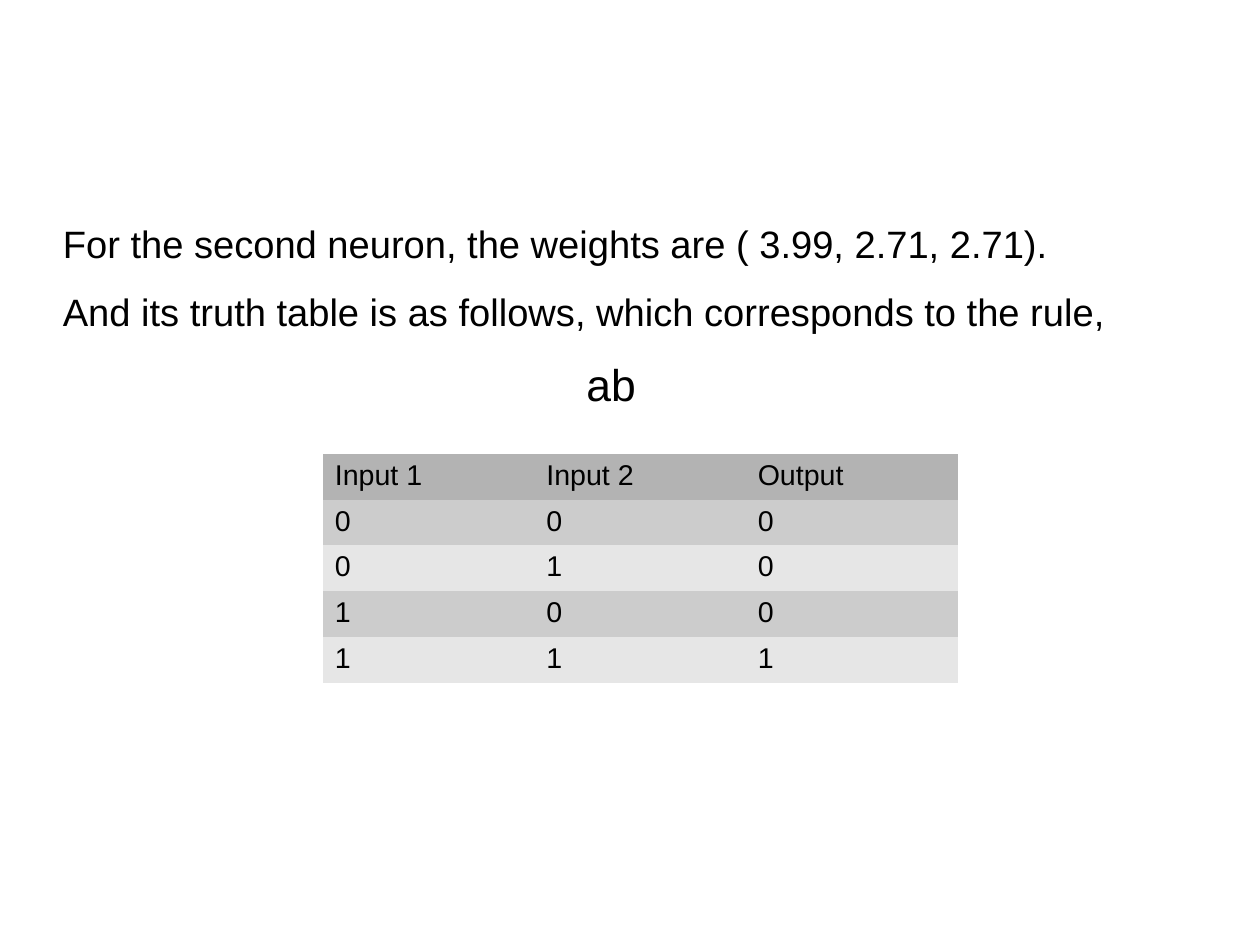
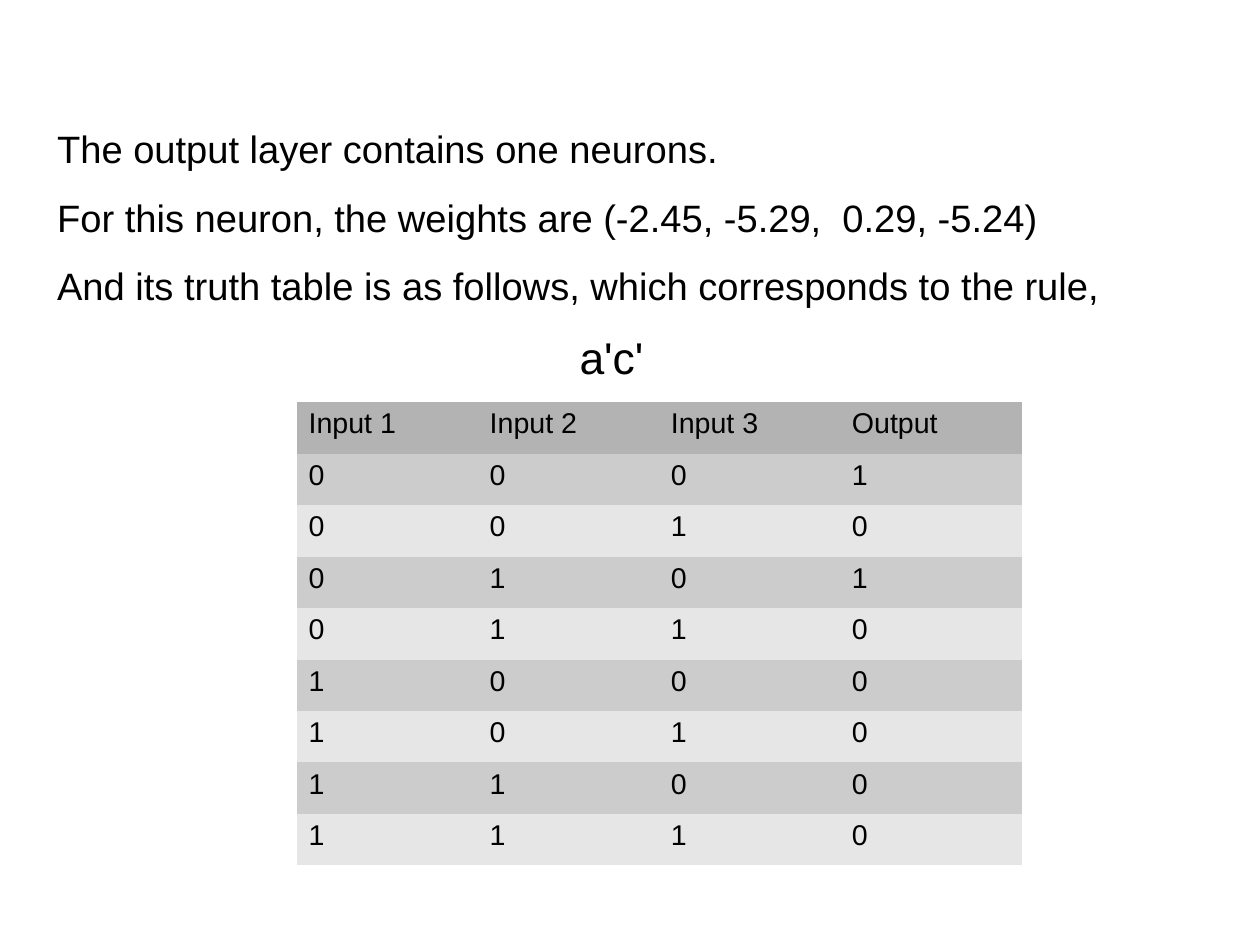
from itertools import product

from pptx import Presentation
from pptx.dml.color import RGBColor
from pptx.enum.text import PP_ALIGN
from pptx.oxml.ns import qn
from pptx.util import Inches, Pt

COLOURS = {"text": "000000", "header": "B3B3B3", "odd": "CCCCCC", "even": "E6E6E6"}
FONT = "Arial"
PLAIN_TABLE_STYLE = "{2D5ABB26-0587-4C30-8999-92F81FD0307C}"
CM_PER_INCH = 2.54
BODY_SIZE = (9.7, 4.79)
NO_MARGINS = {"margin_left": 0, "margin_right": 0, "margin_top": 0, "margin_bottom": 0}

SLIDES = [
    {
        "body_at": (0.55, 1.93),
        "lines": [
            "For the second neuron, the weights are ( 3.99, 2.71, 2.71).",
            "And its truth table is as follows, which corresponds to the rule,",
        ],
        "rule": "ab ",
        "inputs": 2,
        "output": lambda a, b: a and b,
        "table_at": (2.83, 3.97),
        "table_size": (5.55, 1.91),
        "row_height": 0.37,
    },
    {
        "body_at": (0.5, 1.1),
        "lines": [
            "The output layer contains one neurons.",
            "For this neuron, the weights are (-2.45, -5.29,  0.29, -5.24)",
            "And its truth table is as follows, which corresponds to the rule,",
        ],
        "rule": "a'c'",
        "inputs": 3,
        "output": lambda a, b, c: int(not a and not c),
        "table_at": (2.6, 3.52),
        "table_size": (6.34, 4.06),
        "row_height": 0.45,
    },
]


def write(paragraph, text, size):
    span = paragraph.add_run()
    span.text = text
    for name, value in {"name": FONT, "size": Pt(size)}.items():
        setattr(span.font, name, value)
    span.font.color.rgb = RGBColor.from_string(COLOURS["text"])


deck = Presentation()
deck.slide_width = Inches(28 / CM_PER_INCH)
deck.slide_height = Inches(21 / CM_PER_INCH)

for content in SLIDES:
    page = deck.slides.add_slide(deck.slide_layouts[6])

    body = page.shapes.add_textbox(*map(Inches, content["body_at"] + BODY_SIZE))
    frame = body.text_frame
    frame.word_wrap = True
    for name, value in NO_MARGINS.items():
        setattr(frame, name, value)
    lines = [(line, 24, PP_ALIGN.LEFT) for line in content["lines"]]
    lines.append((content["rule"], 28, PP_ALIGN.CENTER))
    for index, (text, size, alignment) in enumerate(lines):
        para = frame.add_paragraph() if index else frame.paragraphs[0]
        para.alignment = alignment
        para.space_after = Pt(14.2)
        write(para, text, size)

    count = content["inputs"]
    rows = [[f"Input {number}" for number in range(1, count + 1)] + ["Output"]]
    for values in product((0, 1), repeat=count):
        rows.append([*values, content["output"](*values)])

    area = map(Inches, content["table_at"] + content["table_size"])
    holder = page.shapes.add_table(len(rows), count + 1, *area)
    table = holder.table
    table._tbl.tblPr.find(qn("a:tableStyleId")).text = PLAIN_TABLE_STYLE
    for row_index, row in enumerate(rows):
        band = "header" if row_index == 0 else ("even", "odd")[row_index % 2]
        table.rows[row_index].height = Inches(content["row_height"])
        for column_index, value in enumerate(row):
            cell = table.cell(row_index, column_index)
            cell.fill.solid()
            cell.fill.fore_color.rgb = RGBColor.from_string(COLOURS[band])
            write(cell.text_frame.paragraphs[0], str(value), 18)
    holder.height = Inches(content["table_size"][1])

deck.save("out.pptx")
